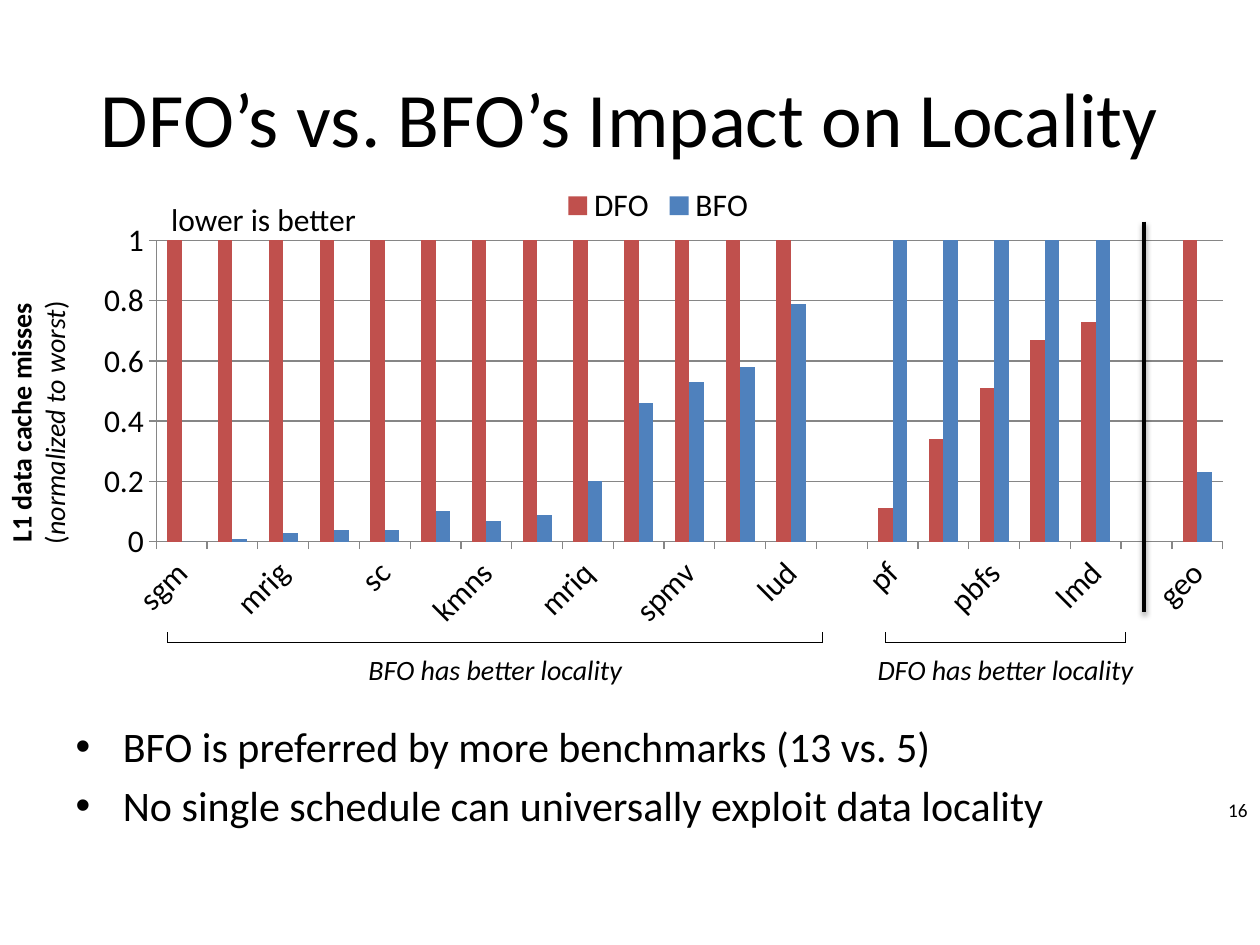
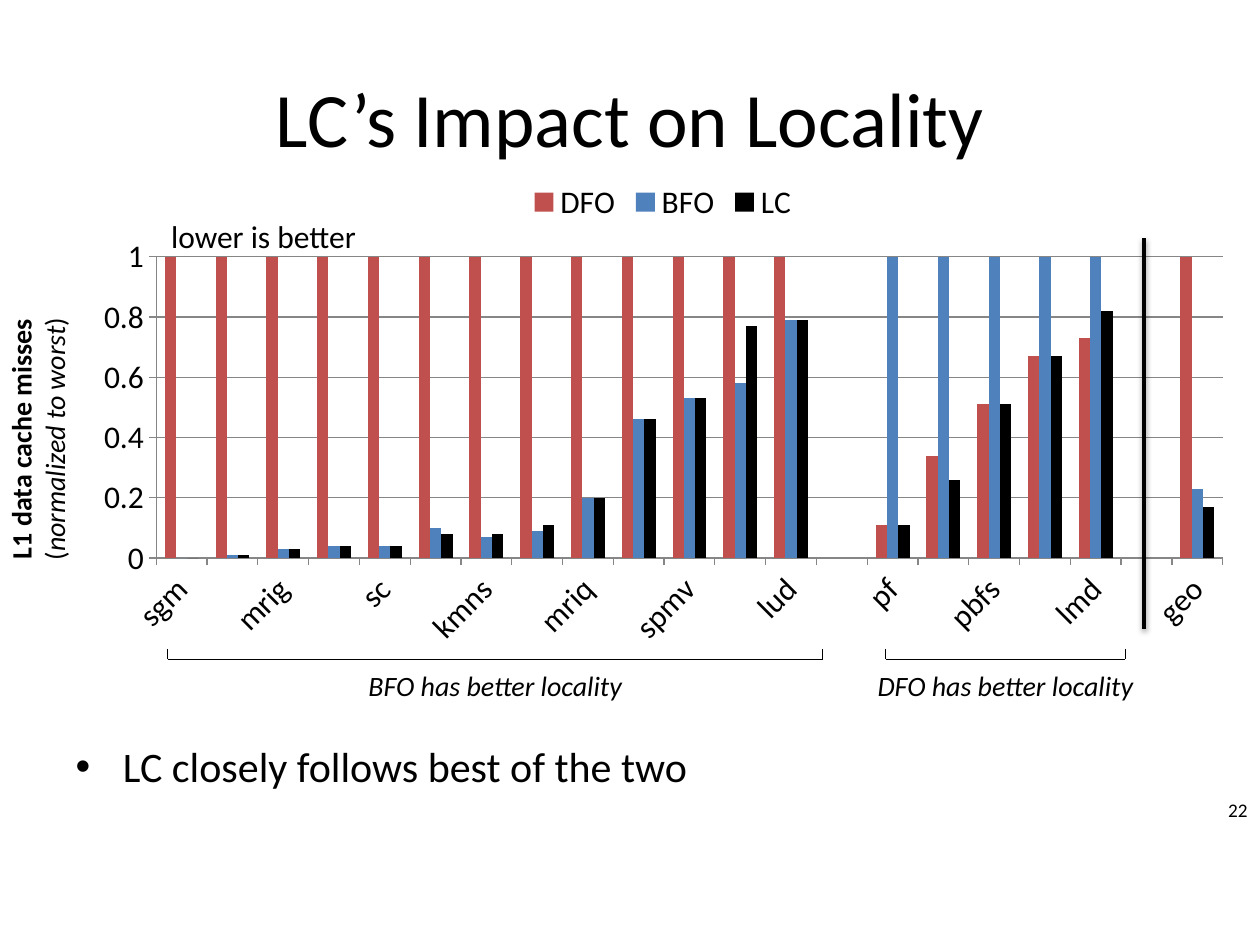
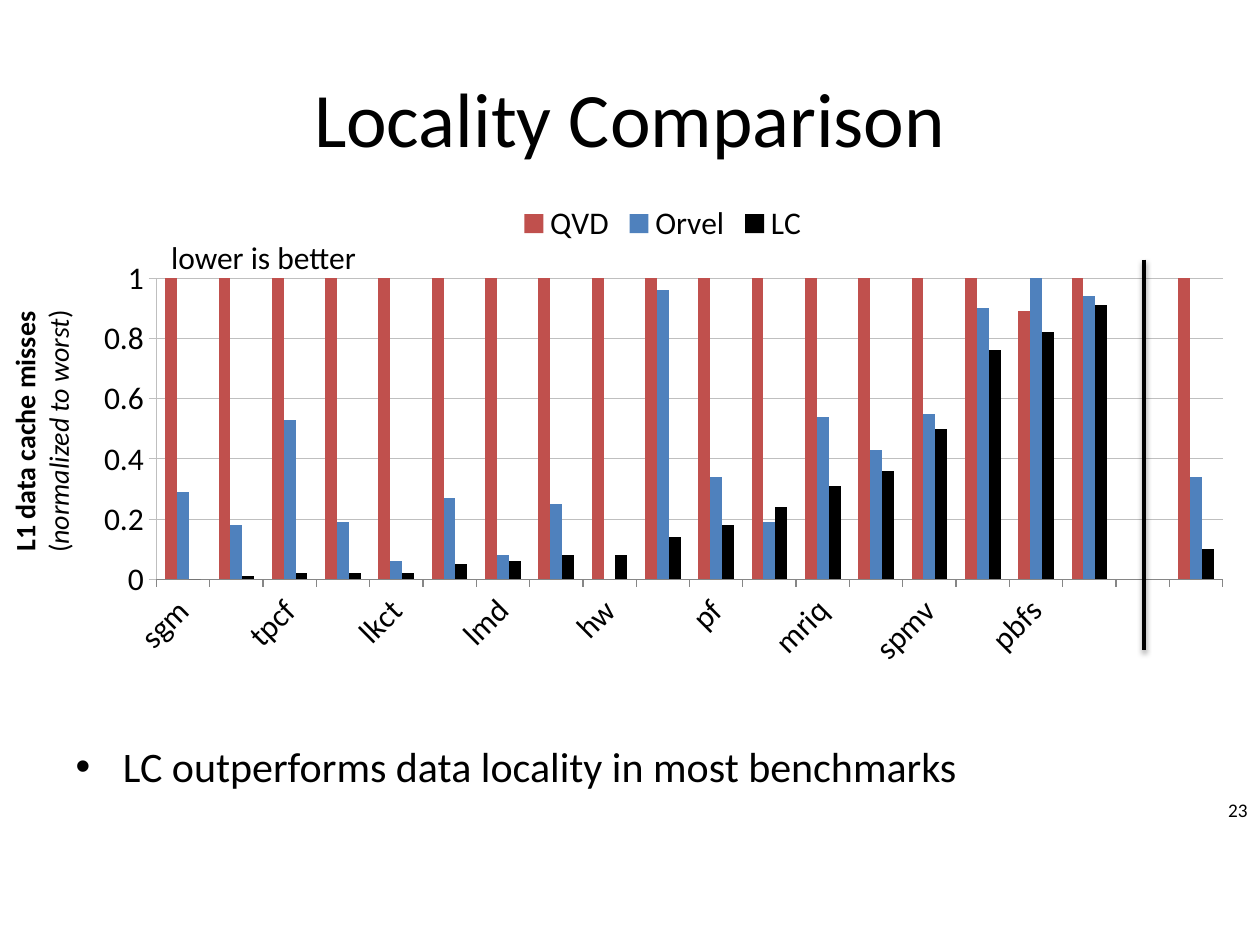
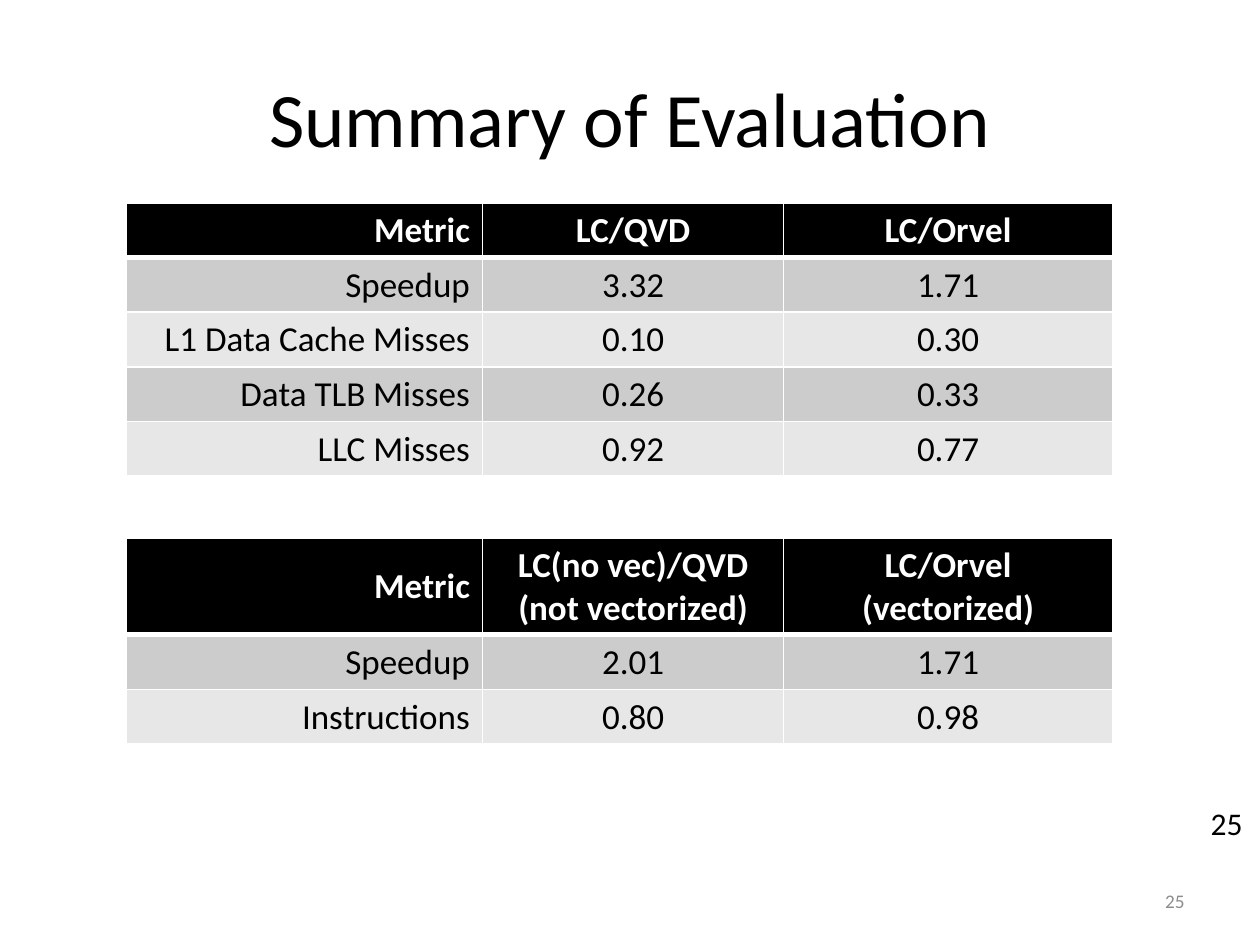
from pptx import Presentation
from pptx import util as u
from pptx.chart import data as chart_data
from pptx.dml.color import RGBColor
from pptx.enum import chart as chart_enum, shapes, text
from pptx.oxml import parse_xml
from pptx.oxml.ns import nsdecls, qn

BLACK = RGBColor(0, 0, 0)
WHITE = RGBColor(255, 255, 255)
RED = RGBColor(0xC0, 0x50, 0x4D)
BLUE = RGBColor(0x4F, 0x81, 0xBD)
AXIS_GREY = RGBColor(0x86, 0x86, 0x86)
LIGHT_GREY = RGBColor(0xBF, 0xBF, 0xBF)
NUMBER_GREY = RGBColor(0x8C, 0x8C, 0x8C)
BAND_COLORS = (RGBColor(0xCC, 0xCC, 0xCC), RGBColor(0xE7, 0xE7, 0xE7))
SERIES_COLORS = (RED, BLUE, BLACK)
FONT = "Calibri"
LEFT, CENTER, RIGHT = text.PP_ALIGN.LEFT, text.PP_ALIGN.CENTER, text.PP_ALIGN.RIGHT

SCHEDULE_BENCHMARKS = ["sgm", "ctcp", "mrig", "tpcf", "sc", "hw", "kmns", "hst", "mriq", "nw",
                       "spmv", "lkct", "lud", "", "pf", "sad", "pbfs", "rbfs", "lmd", "", "geo"]
DFO = [1] * 13 + [None, 0.11, 0.34, 0.51, 0.67, 0.73, None, 1]
BFO = [0, 0.01, 0.03, 0.04, 0.04, 0.1, 0.07, 0.09, 0.2, 0.46, 0.53, 0.58, 0.79,
       None, 1, 1, 1, 1, 1, None, 0.23]
LC = [0, 0.01, 0.03, 0.04, 0.04, 0.08, 0.08, 0.11, 0.2, 0.46, 0.53, 0.77, 0.79,
      None, 0.11, 0.26, 0.51, 0.67, 0.82, None, 0.17]

VENDOR_BENCHMARKS = ["sgm", "ctcp", "tpcf", "mrig", "lkct", "sc", "lmd", "kmns", "hw", "hst",
                     "pf", "lud", "mriq", "nw", "spmv", "sad", "pbfs", "rbfs", "", "geo"]
VENDOR_SERIES = {
    "QVD": [1] * 16 + [0.89, 1, None, 1],
    "Orvel": [0.29, 0.18, 0.53, 0.19, 0.06, 0.27, 0.08, 0.25, None, 0.96,
              0.34, 0.19, 0.54, 0.43, 0.55, 0.9, 1, 0.94, None, 0.34],
    "LC": [0, 0.01, 0.02, 0.02, 0.02, 0.05, 0.06, 0.08, 0.08, 0.14,
           0.18, 0.24, 0.31, 0.36, 0.5, 0.76, 0.82, 0.91, None, 0.1],
}

RESULTS = [["Metric", "LC/QVD", "LC/Orvel"],
           ["Speedup", "3.32", "1.71"],
           ["L1 Data Cache Misses", "0.10", "0.30"],
           ["Data TLB Misses", "0.26", "0.33"],
           ["LLC Misses", "0.92", "0.77"]]
VECTOR_RESULTS = [["Metric", "LC(no vec)/QVD\n(not vectorized)", "LC/Orvel\n(vectorized)"],
                  ["Speedup", "2.01", "1.71"],
                  ["Instructions", "0.80", "0.98"]]


def write(paragraph, content, size=18, color=BLACK, bold=False, italic=False, align=LEFT):
    """Append a formatted run to a paragraph."""
    paragraph.alignment = align
    run = paragraph.add_run()
    run.text = content
    font = run.font
    font.name, font.size, font.bold, font.italic = FONT, u.Pt(size), bold, italic
    font.color.rgb = color


def write_lines(frame, lines, **style):
    """Write one paragraph for each line."""
    for index, line in enumerate(lines):
        paragraph = frame.add_paragraph() if index else frame.paragraphs[0]
        write(paragraph, line, **style)


def place(shape, left, top, width, height):
    """Move and size a shape in inches."""
    shape.left, shape.top = u.Inches(left), u.Inches(top)
    shape.width, shape.height = u.Inches(width), u.Inches(height)


def manual_layout(inner, **fractions):
    """Make a chart layout element from fractions of the chart area."""
    target = '<c:layoutTarget val="inner"/>' if inner else ""
    modes = "".join(f'<c:{axis}Mode val="edge"/>' for axis in "xy")
    sizes = "".join(f'<c:{key} val="{value}"/>' for key, value in fractions.items())
    return parse_xml(f'<c:layout {nsdecls("c")}><c:manualLayout>{target}{modes}{sizes}'
                     '</c:manualLayout></c:layout>')


class Deck:
    """Hold the shared style and the current slide."""

    def __init__(self):
        """Start an empty 4:3 presentation."""
        self.presentation = Presentation()
        self.presentation.slide_width = u.Inches(10)
        self.presentation.slide_height = u.Inches(7.5)
        self.slide = None

    def start(self, title, bullets=(), bullets_top=5.83):
        """Add a slide with its title and optional bullet list."""
        layout = self.presentation.slide_layouts[1 if bullets else 5]
        self.slide = self.presentation.slides.add_slide(layout)
        heading = self.slide.shapes.title
        place(heading, 0.5, 0.3, 9, 1.25)
        write_lines(heading.text_frame, [title], size=44, align=CENTER)
        if bullets:
            body = self.slide.placeholders[1]
            place(body, 0.5, bullets_top, 9, 0.92)
            body.text_frame.auto_size = text.MSO_AUTO_SIZE.NONE
            write_lines(body.text_frame, bullets, size=24)

    def textbox(self, left, top, width, height, lines=(), wrap=True, **style):
        """Add a text box and return it."""
        box = self.slide.shapes.add_textbox(*map(u.Inches, (left, top, width, height)))
        box.text_frame.word_wrap = wrap
        write_lines(box.text_frame, lines, **style)
        return box

    def number(self, value, left=9.51, top=6.33, width=0.49, height=0.2, color=BLACK):
        """Add a small right-aligned slide number."""
        box = self.textbox(left, top, width, height, [value], size=11, color=color, align=RIGHT)
        frame = box.text_frame
        frame.vertical_anchor = text.MSO_ANCHOR.MIDDLE
        frame.margin_top = frame.margin_bottom = u.Inches(0.04)

    def line(self, start, end, width, parent=None, shadow=""):
        """Add a black line, with a shadow only if its XML is given."""
        connector = (parent or self.slide).shapes.add_connector(
            shapes.MSO_CONNECTOR.STRAIGHT, *map(u.Inches, start + end))
        connector.line.color.rgb = BLACK
        connector.line.width = u.Pt(width)
        connector.element.spPr.append(
            parse_xml(f'<a:effectLst {nsdecls("a")}>{shadow}</a:effectLst>'))

    def divider(self, top):
        """Add the shadowed line before the geometric mean."""
        shadow = (f'<a:outerShdw blurRad="{u.Pt(3.1)}" dist="{u.Pt(1.6)}" dir="5400000" '
                  'rotWithShape="0"><a:srgbClr val="000000"><a:alpha val="38000"/>'
                  '</a:srgbClr></a:outerShdw>')
        self.line((9.08, top), (9.08, top + 3.1), 2, shadow=shadow)

    def bracket(self, left, right, top):
        """Add a grouped bracket under a range of benchmarks."""
        group = self.slide.shapes.add_group_shape()
        bottom = top + 0.08
        for start, end in (((left, top), (left, bottom)), ((right, top), (right, bottom)),
                           ((left, bottom), (right, bottom))):
            self.line(start, end, 0.5, parent=group)

    def axis_title(self, left, top):
        """Add the rotated two-line title of the value axis."""
        box = self.textbox(left, top, 0.74, 3.85, ["L1 data cache misses"],
                           size=16, bold=True, align=CENTER)
        box.element.txBody.bodyPr.set("vert", "vert270")
        paragraph = box.text_frame.add_paragraph()
        for content, italic in (("(", False), ("normalized to worst", True), (")", False)):
            write(paragraph, content, size=16, italic=italic, align=CENTER)

    def chart(self, top, benchmarks, series, grid_color=AXIS_GREY, grid_width=0.75):
        """Add a clustered column chart of cache misses and return it."""
        values = chart_data.CategoryChartData()
        values.categories = benchmarks
        for name, numbers in series.items():
            values.add_series(name, numbers)
        chart = self.slide.shapes.add_chart(
            chart_enum.XL_CHART_TYPE.COLUMN_CLUSTERED,
            *map(u.Inches, (0.64, top, 9.24, 3.87)), values).chart
        chart.has_title = False
        chart.font.name, chart.font.size = FONT, u.Pt(18)
        chart.font.color.rgb = BLACK
        chart.has_legend = True
        chart.legend.position = chart_enum.XL_LEGEND_POSITION.TOP
        chart.legend.include_in_layout = False

        plot = chart.plots[0]
        plot.vary_by_categories = False
        plot.gap_width, plot.overlap = 150, 0
        for column, color in zip(plot.series, SERIES_COLORS):
            column.format.fill.solid()
            column.format.fill.fore_color.rgb = color
            column.invert_if_negative = False

        value_axis, category_axis = chart.value_axis, chart.category_axis
        value_axis.minimum_scale, value_axis.maximum_scale = 0, 1
        value_axis.major_unit = 0.2
        value_axis.has_major_gridlines = True
        for axis_line, color, width in (
                (category_axis.format.line, AXIS_GREY, 0.75),
                (value_axis.format.line, grid_color, grid_width),
                (value_axis.major_gridlines.format.line, grid_color, grid_width)):
            axis_line.color.rgb = color
            axis_line.width = u.Pt(width)
        for axis in (value_axis, category_axis):
            axis.major_tick_mark = chart_enum.XL_TICK_MARK.OUTSIDE
            axis.tick_labels.font.size = u.Pt(18)

        category_xml = category_axis._element
        category_xml.find(qn("c:txPr")).find(qn("a:bodyPr")).set("rot", "-2700000")
        category_xml.find(qn("c:noMultiLvlLbl")).addprevious(
            parse_xml(f'<c:tickLblSkip {nsdecls("c")} val="2"/>'))
        plot_area = chart._chartSpace.chart.plotArea
        for layout in plot_area.findall(qn("c:layout")):
            plot_area.remove(layout)
        plot_area.insert(0, manual_layout(True, x=0.065, y=0.183, w=0.916, h=0.618))
        return chart

    def locality(self, top, benchmarks, series, title_left=-0.02, title_offset=0.23, **grid):
        """Add a chart with its axis title, hint and divider."""
        chart = self.chart(top, benchmarks, series, **grid)
        self.axis_title(title_left, top + title_offset)
        self.textbox(1.26, top + 0.34, 1.74, 0.4, ["lower is better"], wrap=False)
        self.divider(top + 0.56)
        return chart

    def preferences(self, chart_top):
        """Mark which schedule suits each range of benchmarks."""
        for name, left, right, label_left, label_width in (
                ("BFO", 1.33, 6.53, 2.57, 2.72), ("DFO", 7.03, 8.93, 6.38, 3.2)):
            self.bracket(left, right, chart_top + 3.82)
            self.textbox(label_left, chart_top + 3.93, label_width, 0.37,
                         [f"{name} has better locality"], size=16, italic=True, align=CENTER)

    def table(self, top, rows):
        """Add a banded table with a black header."""
        widths = (2.83, 2.39, 2.61)
        table = self.slide.shapes.add_table(
            len(rows), len(widths),
            *map(u.Inches, (1, top, sum(widths), 0.41 * len(rows)))).table
        for column, width in zip(table.columns, widths):
            column.width = u.Inches(width)
        for row_index, row in enumerate(rows):
            header = row_index == 0
            for column_index, content in enumerate(row):
                cell = table.cell(row_index, column_index)
                cell.vertical_anchor = text.MSO_ANCHOR.MIDDLE
                cell.fill.solid()
                cell.fill.fore_color.rgb = BLACK if header else BAND_COLORS[(row_index - 1) % 2]
                write_lines(cell.text_frame, content.split("\n"), size=20, bold=header,
                            color=WHITE if header else BLACK,
                            align=CENTER if column_index else RIGHT)
                self.borders(cell, top=3 if row_index == 1 else 1, bottom=3 if header else 1)

    def borders(self, cell, top, bottom):
        """Draw white borders around a cell."""
        properties = cell._tc.get_or_add_tcPr()
        for index, (side, width) in enumerate(zip("LRTB", (1, 1, top, bottom))):
            properties.insert(index, parse_xml(
                f'<a:ln{side} {nsdecls("a")} w="{u.Pt(width)}"><a:solidFill>'
                f'<a:srgbClr val="{WHITE}"/></a:solidFill></a:ln{side}>'))


def main():
    """Build and save the four slides."""
    deck = Deck()

    deck.start("DFO’s vs. BFO’s Impact on Locality",
               ["BFO is preferred by more benchmarks (13 vs. 5)",
                "No single schedule can universally exploit data locality"], bullets_top=5.67)
    chart = deck.locality(1.2, SCHEDULE_BENCHMARKS, {"DFO": DFO, "BFO": BFO})
    chart.legend._element.find(qn("c:legendPos")).addnext(manual_layout(False, x=0.41, y=0.06))
    deck.preferences(1.2)
    deck.number("16")

    deck.start("LC’s Impact on Locality", ["LC closely follows best of the two"])
    deck.locality(1.33, SCHEDULE_BENCHMARKS, {"DFO": DFO, "BFO": BFO, "LC": LC})
    deck.preferences(1.33)
    deck.number("22")

    deck.start("Locality Comparison", ["LC outperforms data locality in most benchmarks"])
    deck.locality(1.5, VENDOR_BENCHMARKS, VENDOR_SERIES, title_left=0.01, title_offset=0,
                  grid_color=LIGHT_GREY, grid_width=0.5)
    deck.number("23")

    deck.start("Summary of Evaluation")
    deck.number("25", 7.17, 6.95, 2.33, 0.4, color=NUMBER_GREY)
    deck.table(1.61, RESULTS)
    deck.table(4.27, VECTOR_RESULTS)
    deck.textbox(9.51, 6.33, 0.49, 0.2, ["25"])

    deck.presentation.save("out.pptx")


if __name__ == "__main__":
    main()
